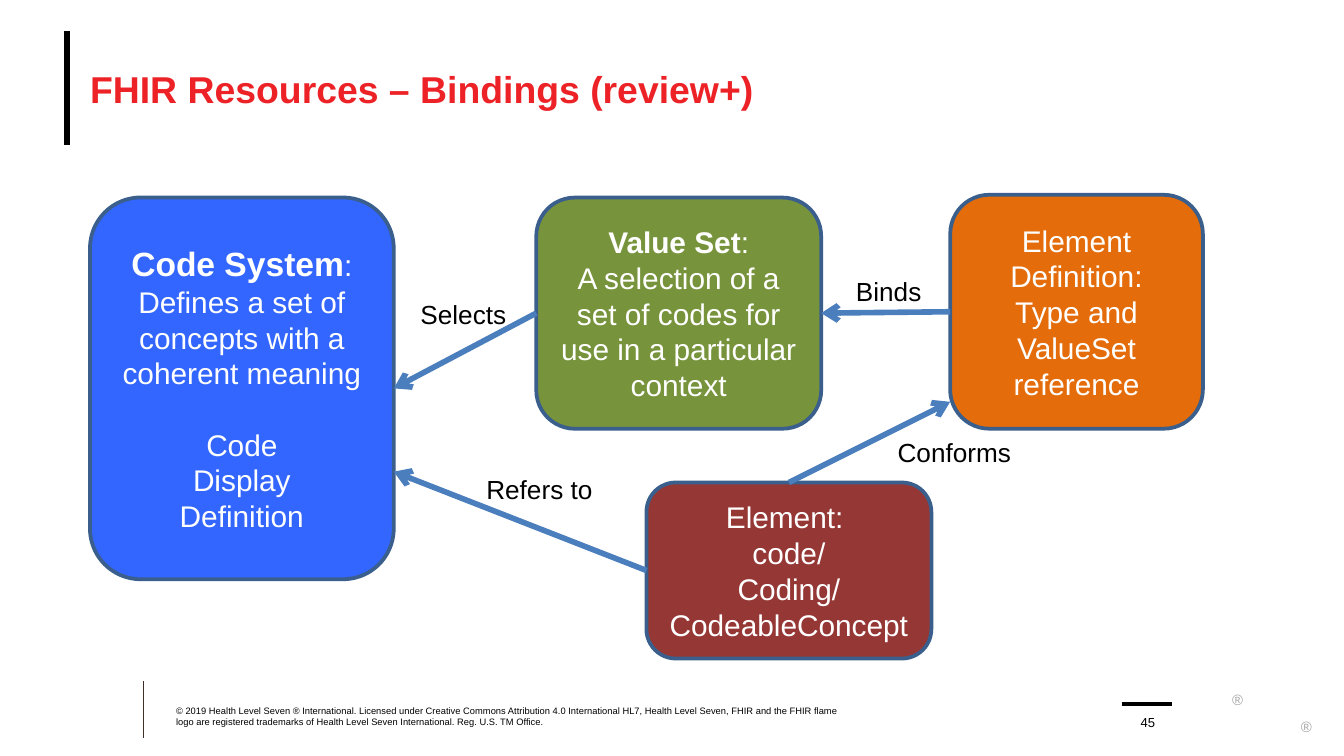
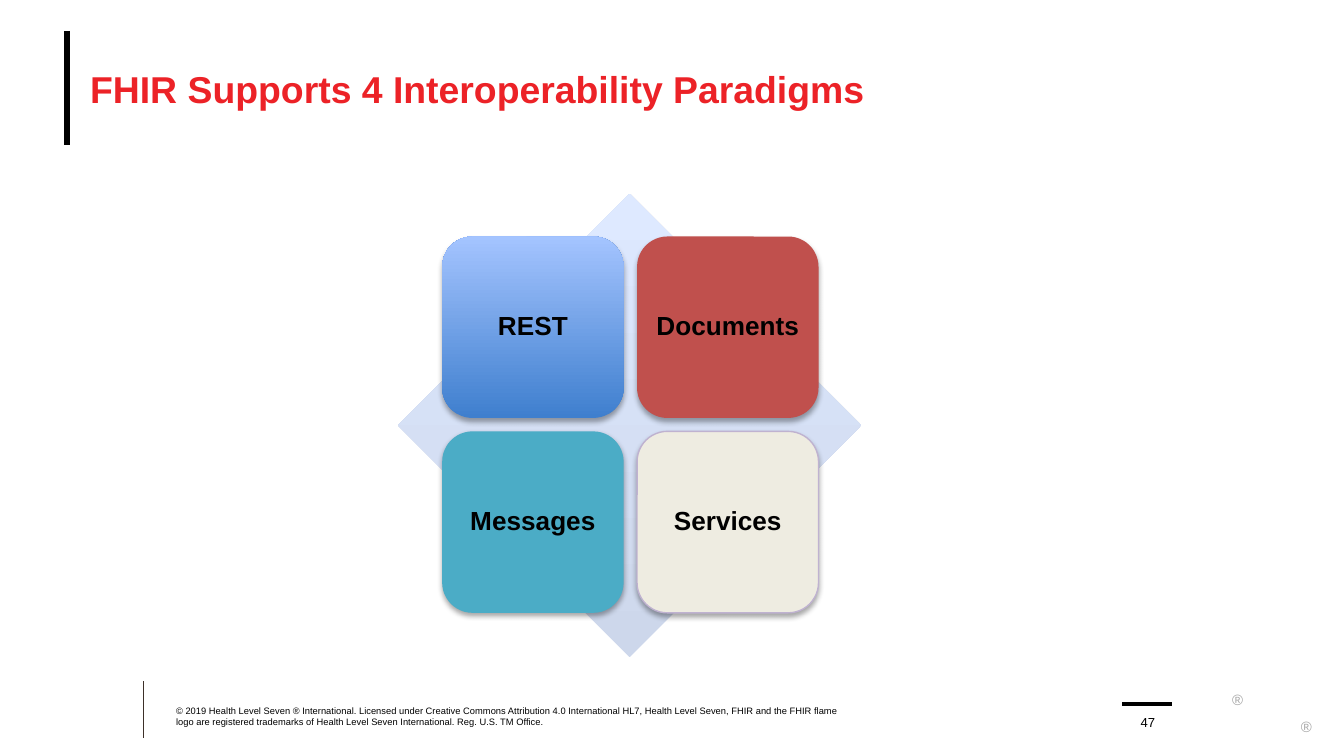
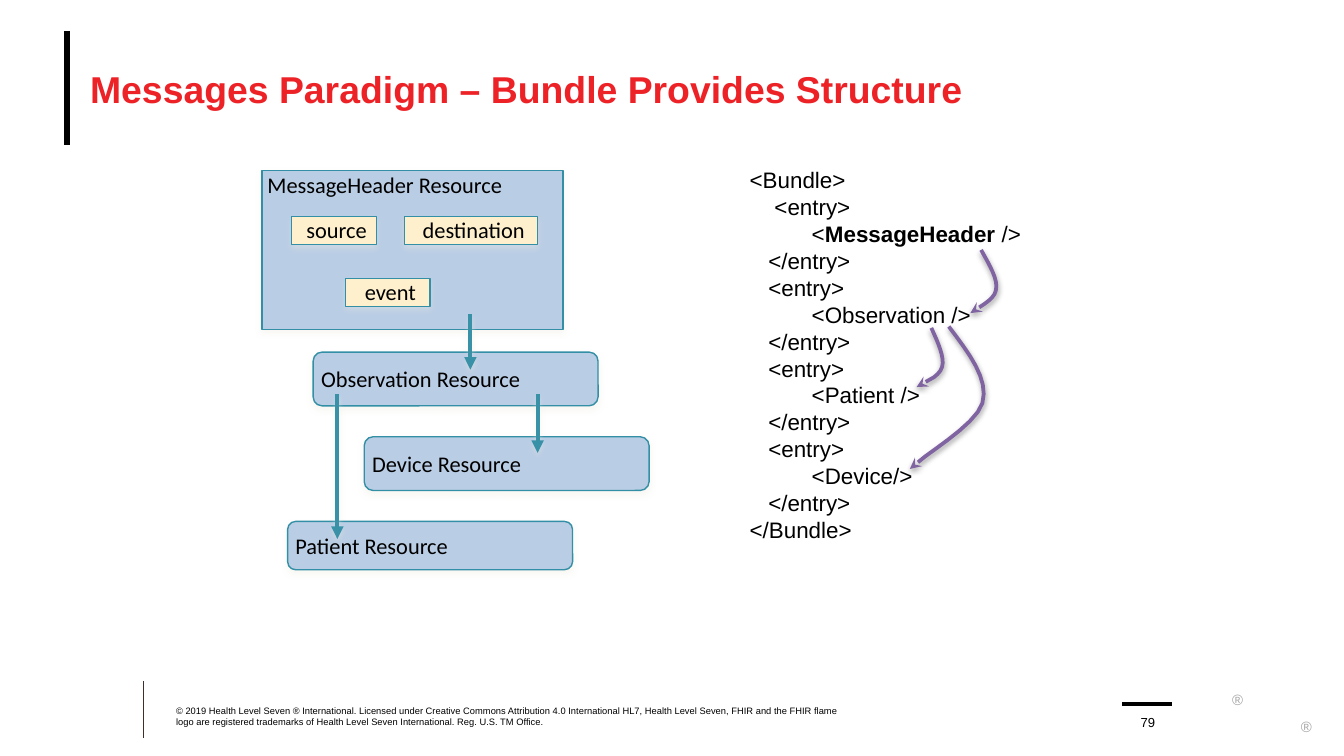
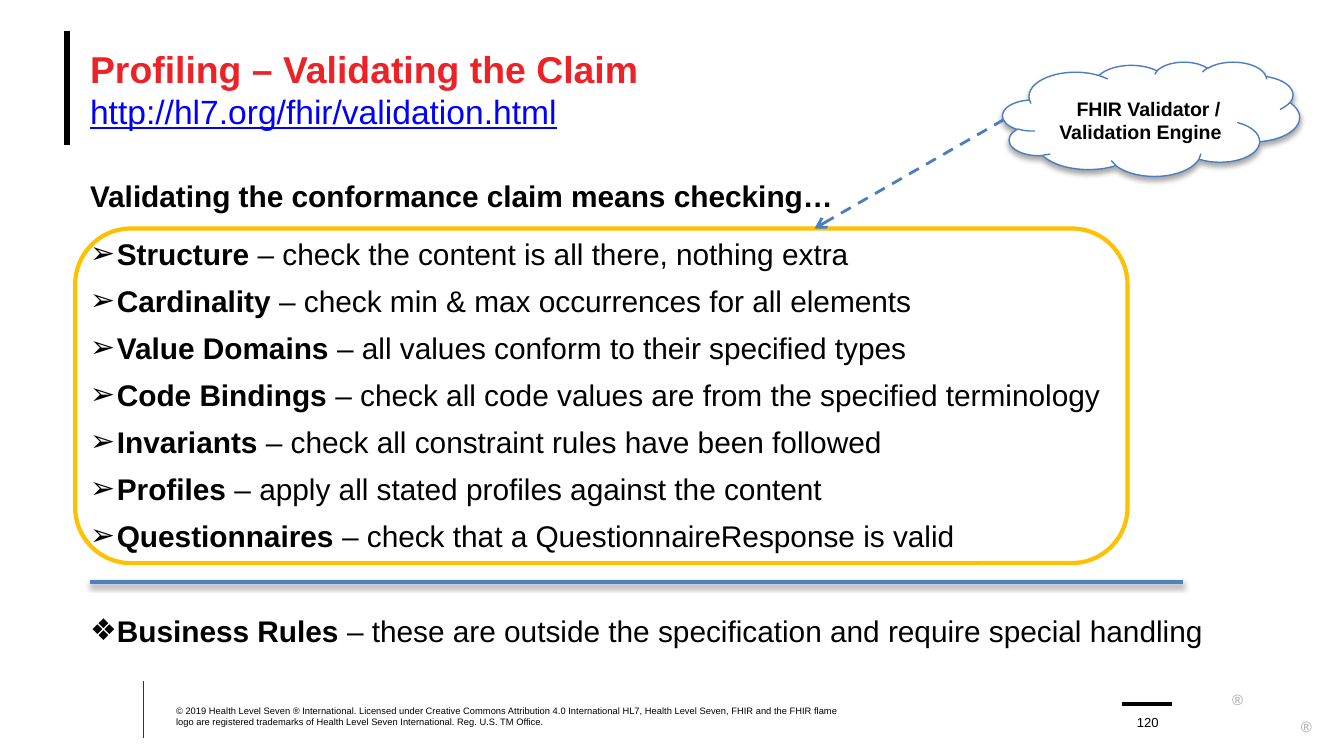
import math

from lxml import etree
from pptx import Presentation
from pptx.dml.color import RGBColor
from pptx.enum import dml, shapes, text
from pptx.oxml.ns import qn
from pptx.util import Inches, Pt

BLACK = RGBColor(0x00, 0x00, 0x00)
WHITE = RGBColor(0xFF, 0xFF, 0xFF)
TITLE_RED = RGBColor(0xEC, 0x22, 0x27)
LINK_BLUE = RGBColor(0x00, 0x00, 0xFF)
MARK_GREY = RGBColor(0xA6, 0xA6, 0xA6)
FOOTER_RULE = RGBColor(0x3D, 0x30, 0x29)
BOX_OUTLINE = RGBColor(0x3A, 0x5F, 0x8C)
ARROW_BLUE = RGBColor(0x4B, 0x7E, 0xBC)
RULE_BLUE = RGBColor(0x4F, 0x81, 0xBD)
CODE_BLUE = RGBColor(0x33, 0x66, 0xFF)
VALUE_GREEN = RGBColor(0x77, 0x93, 0x3C)
DEFINITION_ORANGE = RGBColor(0xE4, 0x6C, 0x0A)
ELEMENT_RED = RGBColor(0x95, 0x37, 0x35)
DIAMOND_GRADIENT = (RGBColor(0xCD, 0xD7, 0xEB), RGBColor(0xDE, 0xE9, 0xFF))
REST_GRADIENT = (RGBColor(0x3F, 0x7F, 0xCE), RGBColor(0xA4, 0xC4, 0xFF))
DOCUMENT_RED = RGBColor(0xC0, 0x50, 0x4D)
MESSAGE_TEAL = RGBColor(0x4B, 0xAC, 0xC6)
SERVICE_CREAM = RGBColor(0xEE, 0xEC, 0xE1)
SERVICE_OUTLINE = RGBColor(0xBF, 0xB2, 0xD0)
RESOURCE_BLUE = RGBColor(0xB9, 0xCD, 0xE5)
RESOURCE_OUTLINE = RGBColor(0x33, 0x8F, 0xA5)
RESOURCE_ARROW = RGBColor(0x38, 0x91, 0xA7)
FIELD_YELLOW = RGBColor(0xFE, 0xF0, 0xCD)
CURVE_PURPLE = RGBColor(0x80, 0x64, 0xA2)
FRAME_GOLD = RGBColor(0xFF, 0xC0, 0x00)

LEFT, CENTER = text.PP_ALIGN.LEFT, text.PP_ALIGN.CENTER
TOP, MIDDLE, BOTTOM = text.MSO_ANCHOR.TOP, text.MSO_ANCHOR.MIDDLE, text.MSO_ANCHOR.BOTTOM
RECTANGLE = shapes.MSO_SHAPE.RECTANGLE
ROUNDED = shapes.MSO_SHAPE.ROUNDED_RECTANGLE

NO_INSETS = (0, 0, 0, 0)
DEFAULT_INSETS = (0.1, 0.05, 0.1, 0.05)
BLACK_SHADOW = ("000000", 35, 3.1, 1.8)
LINE_SHADOW = ("000000", 38, 3.1, 1.6)
PALE_SHADOW = ("EEECE1", 35, 3, 1.8)
PALE_LINE_SHADOW = ("EEECE1", 38, 3, 1.6)

COPYRIGHT = ("© 2019 Health Level Seven ® International. Licensed under Creative Commons "
             "Attribution 4.0 International HL7, Health Level Seven, FHIR and the FHIR flame "
             "logo are registered trademarks of Health Level Seven International. "
             "Reg. U.S. TM Office.")


def add_xml(parent, tag, **attributes):
    child = etree.SubElement(parent, qn(tag))
    for name, value in attributes.items():
        child.set(name, str(value))
    return child


def set_shadow(shape, shadow=None):
    """Give a downward shadow (colour, opacity %, blur, distance), or none."""
    effects = add_xml(shape._element.spPr, "a:effectLst")
    if shadow:
        color, opacity, blur, distance = shadow
        outer = add_xml(effects, "a:outerShdw", blurRad=Pt(blur), dist=Pt(distance),
                        dir=90 * 60000, rotWithShape=0)
        add_xml(add_xml(outer, "a:srgbClr", val=color), "a:alpha", val=opacity * 1000)


def set_line(shape, color, width, dash=None, arrow=None):
    if color is None:
        shape.line.fill.background()
        return
    shape.line.color.rgb = color
    shape.line.width = Pt(width)
    if dash:
        shape.line.dash_style = dash
    if arrow:
        add_xml(shape.line._get_or_add_ln(), "a:tailEnd", type=arrow)


def set_fill(shape, fill):
    """Fill with a colour, a (bottom, top) pair of colours, or nothing."""
    if fill is None:
        shape.fill.background()
    elif isinstance(fill, RGBColor):
        shape.fill.solid()
        shape.fill.fore_color.rgb = fill
    else:
        shape.fill.gradient()
        shape.fill.gradient_angle = 90
        for stop, position, color in zip(shape.fill.gradient_stops, (0, 1), fill):
            stop.position = position
            stop.color.rgb = color


def write(shape, lines, size=16, color=BLACK, bold=False, font="Arial", align=LEFT,
          anchor=TOP, insets=DEFAULT_INSETS, wrap=True):
    """Write one paragraph a line; ** switches bold, a newline breaks the line."""
    frame = shape.text_frame
    frame.auto_size = text.MSO_AUTO_SIZE.NONE
    frame.word_wrap = wrap
    frame.vertical_anchor = anchor
    (frame.margin_left, frame.margin_top,
     frame.margin_right, frame.margin_bottom) = map(Inches, insets)
    for number, line in enumerate(lines):
        paragraph = frame.add_paragraph() if number else frame.paragraphs[0]
        paragraph.alignment = align
        for index, part in enumerate(line.split("**")):
            for row, words in enumerate(part.split("\n")):
                if row:
                    paragraph.add_line_break()
                if words:
                    run = paragraph.add_run()
                    run.text = words
                    run.font.name = font
                    run.font.size = Pt(size)
                    run.font.bold = bold or index % 2 == 1
                    run.font.color.rgb = color
    return frame.paragraphs


def add_text(slide, box, lines, **options):
    return write(slide.shapes.add_textbox(*map(Inches, box)), lines, **options)


def add_box(slide, kind, box, fill=None, outline=None, width=0.75, shadow=None):
    shape = slide.shapes.add_shape(kind, *map(Inches, box))
    set_fill(shape, fill)
    set_line(shape, outline, width)
    set_shadow(shape, shadow)
    return shape


def add_line(slide, start, end, color, width, dash=None, arrow=None, shadow=None):
    line = slide.shapes.add_connector(shapes.MSO_CONNECTOR.STRAIGHT,
                                      *map(Inches, start + end))
    set_line(line, color, width, dash, arrow)
    set_shadow(line, shadow)
    return line


def curve_points(points, steps=8, head=0.12):
    """Follow a chain of cubic curves, ending straight where the arrowhead sits."""
    result = [points[0]]
    for first in range(0, len(points) - 1, 3):
        a, b, c, d = points[first:first + 4]
        for step in range(1, steps + 1):
            t = step / steps
            weights = ((1 - t) ** 3, 3 * t * (1 - t) ** 2, 3 * t ** 2 * (1 - t), t ** 3)
            result.append(tuple(sum(w * p[axis] for w, p in zip(weights, (a, b, c, d)))
                                for axis in (0, 1)))
    end = points[-1]
    result = [point for point in result if math.dist(point, end) > head] + [end]
    return [(Inches(x), Inches(y)) for x, y in result]


def add_curved_arrow(slide, points):
    start, *rest = curve_points(points)
    builder = slide.shapes.build_freeform(*start)
    builder.add_line_segments(rest, close=False)
    curve = builder.convert_to_shape()
    set_fill(curve, None)
    set_line(curve, CURVE_PURPLE, 2, arrow="stealth")
    set_shadow(curve, LINE_SHADOW)


def add_slide(presentation, title_text, number):
    """Add a slide with its title, side bar, footer and number."""
    slide = presentation.slides.add_slide(presentation.slide_layouts[5])
    add_line(slide, (1.07, 5.07), (1.07, 5.49), FOOTER_RULE, 0.5)
    add_line(slide, (0.5, 0.23), (0.5, 1.08), BLACK, 3.25)
    add_line(slide, (8.35, 5.24), (8.72, 5.24), BLACK, 2)
    for left, top in ((9.16, 5.1), (9.67, 5.3)):
        add_text(slide, (left, top, 0.1, 0.09), ["®"], size=8, color=MARK_GREY,
                 align=CENTER, insets=(0, 0.04, 0, 0), wrap=False)
    title = slide.shapes.title
    title.left, title.top, title.width, title.height = map(Inches, (0.67, 0.23, 9, 0.86))
    write(title, [title_text], size=20, color=TITLE_RED, bold=True, anchor=MIDDLE,
          insets=NO_INSETS)
    add_text(slide, (8.39, 5.24, 0.3, 0.19), [str(number)], size=7, align=CENTER,
             anchor=BOTTOM, insets=NO_INSETS)
    add_text(slide, (1.31, 5.24, 4.95, 0.17), [COPYRIGHT], size=5, anchor=BOTTOM,
             insets=NO_INSETS)
    return slide


def add_concept(slide, box, fill, lines):
    shape = add_box(slide, ROUNDED, box, fill, BOX_OUTLINE, 2)
    write(shape, lines, color=WHITE, align=CENTER, anchor=MIDDLE)
    return shape


def build_bindings(presentation):
    slide = add_slide(presentation, "FHIR Resources – Bindings (review+)", 45)
    code_system = add_concept(slide, (0.67, 1.47, 2.26, 2.84), CODE_BLUE, [
        "**Code System**:", "Defines a set of concepts with a coherent meaning",
        "Code\nDisplay", "Definition"])
    heading, _, code, _ = code_system.text_frame.paragraphs
    heading.runs[0].font.size = Pt(18)
    code.space_before = Pt(19)
    value_set = add_concept(slide, (3.99, 1.47, 2.12, 1.72), VALUE_GREEN, [
        "**Value Set**:", "A selection of a set of codes for use in a particular context"])
    definition = add_concept(slide, (7.07, 1.45, 1.88, 1.74), DEFINITION_ORANGE, [
        "Element Definition:", "Type and ValueSet reference"])
    element = add_concept(slide, (4.81, 3.59, 2.12, 1.31), ELEMENT_RED, [
        "Element: \ncode/\nCoding/\nCodeableConcept"])

    def link(source, source_side, end, target=None):
        line = add_line(slide, (0, 0), end, ARROW_BLUE, 3, arrow="arrow")
        line.begin_connect(source, source_side)
        if target:
            line.end_connect(target, 3)

    link(value_set, 1, (2.93, 2.89), code_system)
    link(definition, 1, (6.11, 2.33), value_set)
    link(element, 0, (7.07, 2.99))
    link(element, 1, (2.93, 3.51))
    for label, left, top, width in (("Selects", 3.03, 2.17, 0.89), ("Binds", 6.27, 2, 0.69),
                                    ("Conforms", 6.58, 3.2, 1.05),
                                    ("Refers to", 3.52, 3.47, 1)):
        add_text(slide, (left, top, width, 0.34), [label], size=14, wrap=False)


def build_paradigms(presentation):
    slide = add_slide(presentation, "FHIR Supports 4 Interoperability Paradigms", 47)
    add_box(slide, shapes.MSO_SHAPE.DIAMOND, (2.96, 1.44, 3.45, 3.45), DIAMOND_GRADIENT)
    paradigms = (("REST", REST_GRADIENT, None), ("Documents", DOCUMENT_RED, None),
                 ("Messages", MESSAGE_TEAL, None),
                 ("Services", SERVICE_CREAM, SERVICE_OUTLINE))
    pitch, side = 1.45, 1.35
    for index, (name, fill, outline) in enumerate(paradigms):
        row, column = divmod(index, 2)
        tile = add_box(slide, ROUNDED,
                       (3.29 + column * pitch, 1.76 + row * pitch, side, side),
                       fill, outline, shadow=BLACK_SHADOW)
        paragraphs = write(tile, [name], size=14, bold=True, align=CENTER, anchor=MIDDLE,
                           insets=(0.06, 0.06, 0.06, 0.06))
        paragraphs[0].line_spacing = 0.9


def add_resource(slide, kind, box, name, fill=RESOURCE_BLUE, **options):
    shape = add_box(slide, kind, box, fill, RESOURCE_OUTLINE, shadow=PALE_SHADOW)
    write(shape, [name], size=12, font="Calibri", insets=(0.04, 0, 0, 0), **options)


def build_messages(presentation):
    slide = add_slide(presentation, "Messages Paradigm – Bundle Provides Structure", 79)
    add_resource(slide, RECTANGLE, (1.95, 1.27, 2.24, 1.18), "MessageHeader Resource")
    for name, left, top, width in (("source", 2.17, 1.61, 0.63),
                                   ("destination", 3.01, 1.61, 0.99),
                                   ("event", 2.57, 2.07, 0.63)):
        add_resource(slide, RECTANGLE, (left, top, width, 0.21), name, FIELD_YELLOW,
                     align=CENTER)
    for name, left, top, height in (("Observation", 2.33, 2.62, 0.4),
                                    ("Device", 2.71, 3.25, 0.4),
                                    ("Patient", 2.14, 3.88, 0.36)):
        add_resource(slide, ROUNDED, (left, top, 2.12, height), f"{name} Resource",
                     anchor=MIDDLE)
    for x, top, bottom in ((3.5, 2.34, 2.75), (4, 2.93, 3.37), (2.51, 2.93, 4.01)):
        add_line(slide, (x, top), (x, bottom), RESOURCE_ARROW, 2.25, arrow="triangle",
                 shadow=PALE_LINE_SHADOW)

    code = ["<Bundle>"]
    for index, entry in enumerate(("**MessageHeader** />", "Observation />",
                                   "Patient />", "Device/>")):
        code += ["   <entry>" if index else "    <entry>",
                 "          <" + entry, "   </entry>"]
    code.append("</Bundle>")
    add_text(slide, (5.48, 1.19, 2.24, 2.93), code, size=12, wrap=False)

    add_curved_arrow(slide, [(7.3, 1.86), (7.36, 1.97), (7.43, 2.08), (7.41, 2.16),
                             (7.4, 2.24), (7.25, 2.3), (7.22, 2.33)])
    add_curved_arrow(slide, [(7.06, 2.43), (7.21, 2.63), (7.36, 2.82), (7.31, 3),
                             (7.26, 3.17), (6.85, 3.4), (6.77, 3.49)])
    add_curved_arrow(slide, [(6.93, 2.44), (6.98, 2.55), (7.03, 2.66), (7.01, 2.73),
                             (6.99, 2.81), (6.85, 2.86), (6.82, 2.88)])


def add_bullet(paragraph, symbol):
    properties = paragraph._p.get_or_add_pPr()
    properties.set("marL", str(Inches(0.2)))
    properties.set("indent", str(-Inches(0.2)))
    add_xml(properties, "a:buFont", typeface="Arial")
    add_xml(properties, "a:buChar", char=symbol)


def build_validation(presentation):
    slide = add_slide(presentation, "Profiling – Validating the Claim\n"
                                    "http://hl7.org/fhir/validation.html", 120)
    address = slide.shapes.title.text_frame.paragraphs[0].runs[1].font
    address.size = Pt(18)
    address.bold = False
    address.underline = True
    address.color.rgb = LINK_BLUE

    heading, *checks, business = add_text(slide, (0.67, 1.32, 9, 2.49), [
        "**Validating the conformance claim means checking…**",
        "**Structure **– check the content is all there, nothing extra",
        "**Cardinality **– check min & max occurrences for all elements",
        "**Value Domains **– all values conform to their specified types",
        "**Code Bindings **– check all code values are from the specified terminology",
        "**Invariants **– check all constraint rules have been followed",
        "**Profiles **– apply all stated profiles against the content",
        "**Questionnaires **– check that a QuestionnaireResponse is valid",
        "**Business Rules **– these are outside the specification and require special handling",
    ], insets=NO_INSETS)
    heading.space_after = Pt(6)
    for check in checks:
        check.space_before = Pt(6)
        add_bullet(check, "➢")
    business.space_before = Pt(31.5)
    add_bullet(business, "❖")

    add_line(slide, (0.67, 4.33), (8.8, 4.33), RULE_BLUE, 2, shadow=LINE_SHADOW)
    add_box(slide, ROUNDED, (0.56, 1.7, 7.83, 2.49), outline=FRAME_GOLD, width=2.25)
    cloud = add_box(slide, shapes.MSO_SHAPE.CLOUD, (7.46, 0.46, 2.21, 0.85), WHITE,
                    ARROW_BLUE, shadow=BLACK_SHADOW)
    label = write(cloud, ["FHIR Validator / Validation Engine"], size=10.5, bold=True,
                  align=CENTER, anchor=MIDDLE, insets=(0.1, 0.11, 0.1, 0.05))[0]
    label._p.get_or_add_pPr().set("indent", str(Inches(0.12)))
    add_line(slide, (7.47, 0.89), (6.06, 1.7), ARROW_BLUE, 1.5,
             dash=dml.MSO_LINE.DASH, arrow="arrow")


def main():
    presentation = Presentation()
    presentation.slide_width = Inches(10)
    presentation.slide_height = presentation.slide_width * 9 // 16
    build_bindings(presentation)
    build_paradigms(presentation)
    build_messages(presentation)
    build_validation(presentation)
    presentation.save("out.pptx")


if __name__ == "__main__":
    main()
